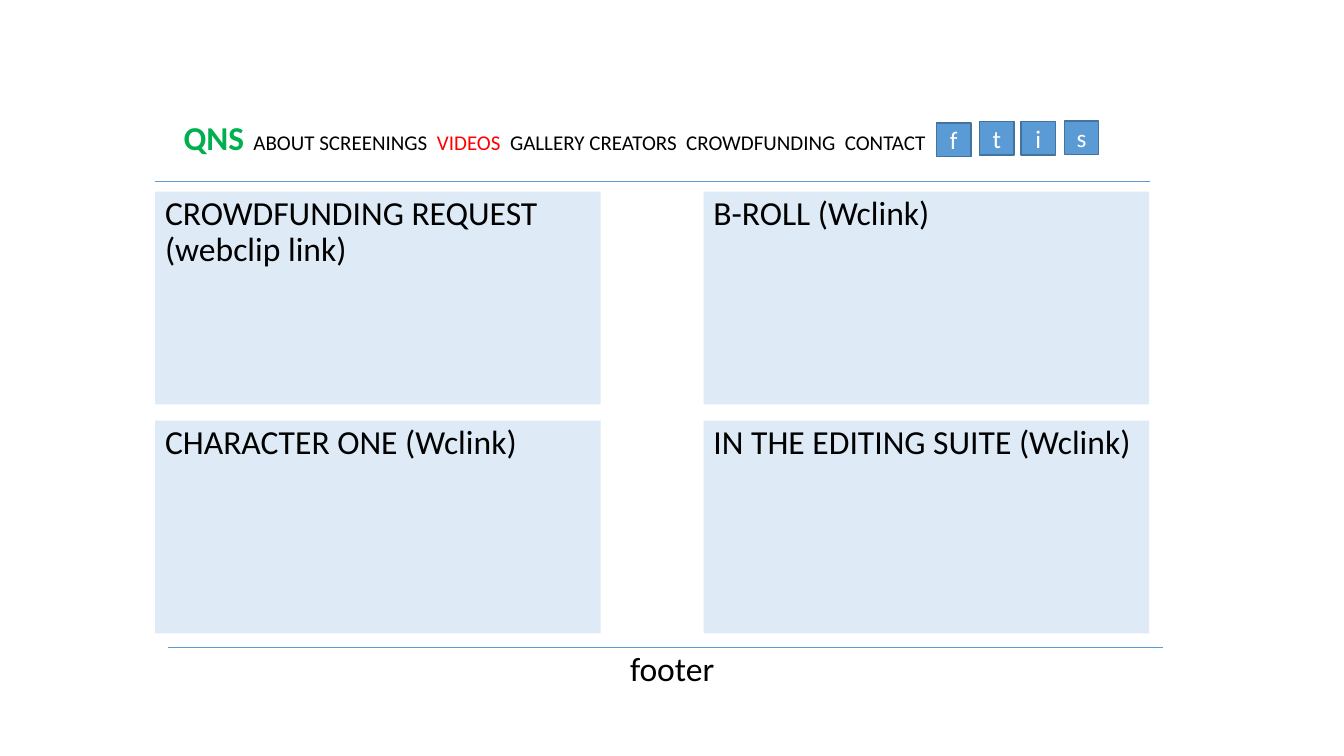
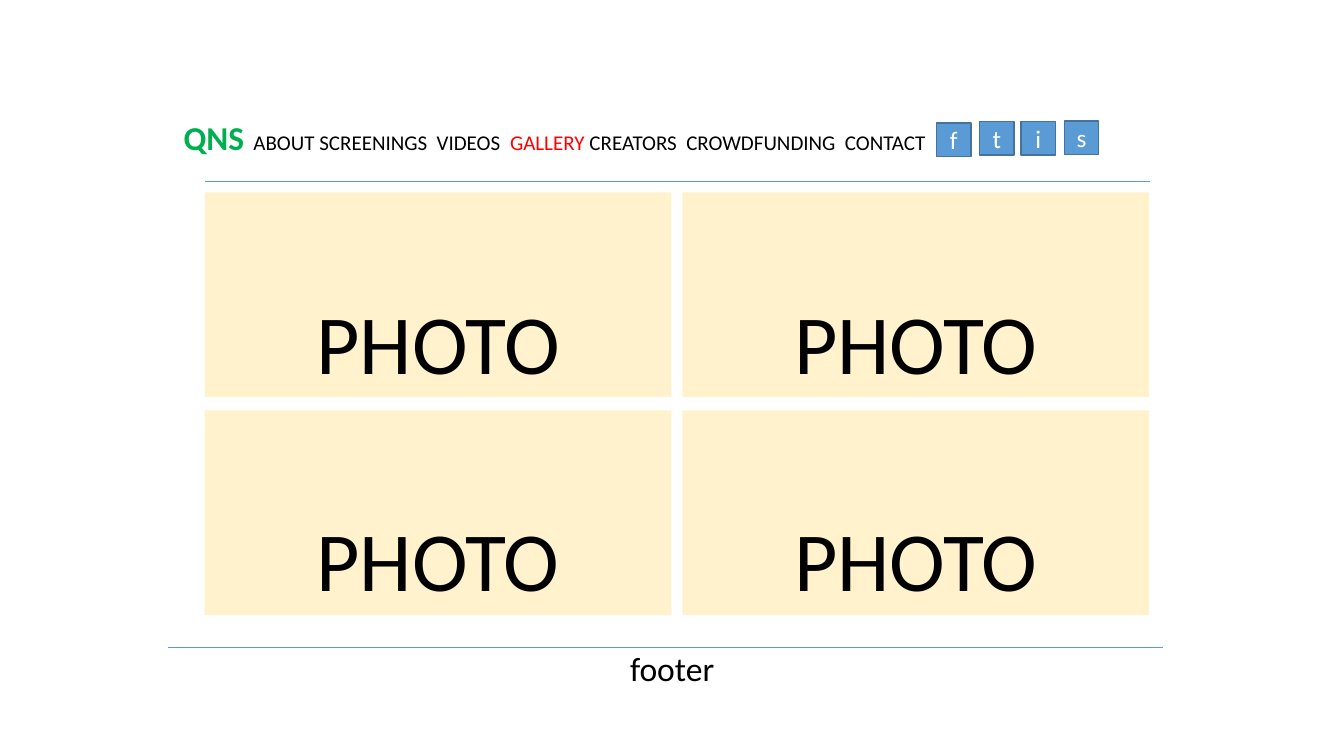
import dataclasses
import typing

import pptx
import pptx.dml.color
import pptx.enum.shapes
import pptx.enum.text
import pptx.oxml
import pptx.util
from pptx.util import Cm, Pt

# Shared style
FONT = "Calibri"
BLACK, WHITE, GREEN, RED = "000000", "FFFFFF", "00B050", "FF0000"
BLUE, DARK_BLUE, PALE_BLUE, CREAM = "5B9BD5", "43739E", "DEEBF7", "FFF2CC"
ALIGN = pptx.enum.text.PP_ALIGN
ANCHOR = pptx.enum.text.MSO_ANCHOR
RECTANGLE = pptx.enum.shapes.MSO_SHAPE.RECTANGLE
STRAIGHT = pptx.enum.shapes.MSO_CONNECTOR.STRAIGHT
HEADER_Y, FOOTER_Y, CONTENT_RIGHT = 4.57, 16.31, 28.98


@dataclasses.dataclass
class Box:
    """Position and size in centimetres."""
    left: float
    top: float
    width: float
    height: float


@dataclasses.dataclass
class TextStyle:
    size: float
    color: str = BLACK
    align: typing.Any = ALIGN.CENTER
    anchor: typing.Any = ANCHOR.TOP
    line_spacing: float = 0.9
    space_before: float = 0


@dataclasses.dataclass
class Grid:
    """Two columns and two rows of panels."""
    first: Box
    column_step: float
    row_step: float
    fill: str
    style: TextStyle
    labels: list[str]
    first_is_title: bool


@dataclasses.dataclass
class Icon:
    letter: str
    left: float
    top: float


FOOTER_STYLE = TextStyle(24, space_before=10)
VIDEO_STYLE = TextStyle(24, align=ALIGN.LEFT, space_before=10)
PHOTO_STYLE = TextStyle(60, anchor=ANCHOR.BOTTOM)
MENU_STYLE = TextStyle(15, line_spacing=0.7, space_before=10)
ICON_STYLE = TextStyle(18, WHITE, anchor=ANCHOR.MIDDLE, line_spacing=1)

MENU = "  ABOUT SCREENINGS  VIDEOS  GALLERY CREATORS  CROWDFUNDING  CONTACT"
ICONS = [Icon("f", 23.6, 3.1), Icon("t", 24.69, 3.07),
         Icon("i", 25.73, 3.07), Icon("s", 26.82, 3.05)]

VIDEOS = Grid(Box(3.91, 4.83, 11.23, 5.36), 13.82, 5.77, PALE_BLUE, VIDEO_STYLE,
              ["CROWDFUNDING REQUEST (webclip link)", "B-ROLL (Wclink)",
               "CHARACTER ONE (Wclink)", "IN THE EDITING SUITE (Wclink)"], False)
GALLERY = Grid(Box(5.16, 4.85, 11.76, 5.16), 12.04, 5.49, CREAM, PHOTO_STYLE,
               ["PHOTO"] * 4, True)


def rgb(color: str) -> pptx.dml.color.RGBColor:
    return pptx.dml.color.RGBColor.from_string(color)


def place(shape: typing.Any, box: Box) -> None:
    shape.left, shape.top = Cm(box.left), Cm(box.top)
    shape.width, shape.height = Cm(box.width), Cm(box.height)


def format_span(span: typing.Any, size: float, color: str, bold: bool = False) -> None:
    span.font.name = FONT
    span.font.size = Pt(size)
    span.font.bold = bold
    span.font.color.rgb = rgb(color)


def write(shape: typing.Any, text: str, style: TextStyle) -> None:
    frame = shape.text_frame
    frame.text = text
    frame.word_wrap = True
    frame.auto_size = pptx.enum.text.MSO_AUTO_SIZE.NONE
    frame.vertical_anchor = style.anchor
    para = frame.paragraphs[0]
    para.alignment = style.align
    para.line_spacing = style.line_spacing
    para.space_before = Pt(style.space_before)
    for span in para.runs:
        format_span(span, style.size, style.color)


def add_rectangle(page: typing.Any, box: Box) -> typing.Any:
    shape = page.shapes.add_shape(
        RECTANGLE, Cm(box.left), Cm(box.top), Cm(box.width), Cm(box.height))
    shape.shadow.inherit = False
    return shape


def fill_shape(shape: typing.Any, color: str) -> None:
    shape.fill.solid()
    shape.fill.fore_color.rgb = rgb(color)


def add_rule(page: typing.Any, left: float, right: float, y: float) -> None:
    rule = page.shapes.add_connector(STRAIGHT, Cm(left), Cm(y), Cm(right), Cm(y))
    rule.line.color.rgb = rgb(BLUE)
    rule.line.width = Pt(0.5)
    properties = rule._element.spPr
    properties.append(properties.makeelement(pptx.oxml.ns.qn("a:effectLst"), {}))


def add_grid(page: typing.Any, grid: Grid) -> None:
    title = page.shapes.title
    for index, label in enumerate(grid.labels):
        row, column = divmod(index, 2)
        box = dataclasses.replace(
            grid.first,
            left=grid.first.left + column * grid.column_step,
            top=grid.first.top + row * grid.row_step)
        if index == 0 and grid.first_is_title:
            panel = title
            place(panel, box)
        else:
            panel = add_rectangle(page, box)
        fill_shape(panel, grid.fill)
        panel.line.fill.background()
        write(panel, label, grid.style)
    if not grid.first_is_title:
        title._element.getparent().remove(title._element)


def add_menu(page: typing.Any, current: str) -> None:
    menu = page.shapes.add_textbox(Cm(4.24), Cm(3.1), Cm(19.48), Cm(1.47))
    write(menu, "QNS", MENU_STYLE)
    para = menu.text_frame.paragraphs[0]
    format_span(para.runs[0], 23.8, GREEN, bold=True)
    before, after = MENU.split(current)
    for text, color in ((before, BLACK), (current, RED), (after, BLACK)):
        span = para.add_run()
        span.text = text
        format_span(span, MENU_STYLE.size, color)


def add_icons(page: typing.Any) -> None:
    for icon in ICONS:
        button = add_rectangle(page, Box(icon.left, icon.top, 0.87, 0.84))
        fill_shape(button, BLUE)
        button.line.color.rgb = rgb(DARK_BLUE)
        button.line.width = Pt(1)
        write(button, icon.letter, ICON_STYLE)


def add_page(deck: typing.Any, current: str, grid: Grid) -> None:
    page = deck.slides.add_slide(deck.slide_layouts[0])
    # Footer and rules
    footer = page.placeholders[1]
    place(footer, Box(4.24, FOOTER_Y, 25.4, 1.47))
    write(footer, "footer", FOOTER_STYLE)
    add_rule(page, grid.first.left, CONTENT_RIGHT, HEADER_Y)
    add_rule(page, 4.24, 29.31, FOOTER_Y)
    # Panels, then the site header
    add_grid(page, grid)
    add_menu(page, current)
    add_icons(page)


deck = pptx.Presentation()
deck.slide_width, deck.slide_height = Cm(33.87), Cm(19.05)
add_page(deck, "VIDEOS", VIDEOS)
add_page(deck, "GALLERY", GALLERY)
deck.save("out.pptx")
